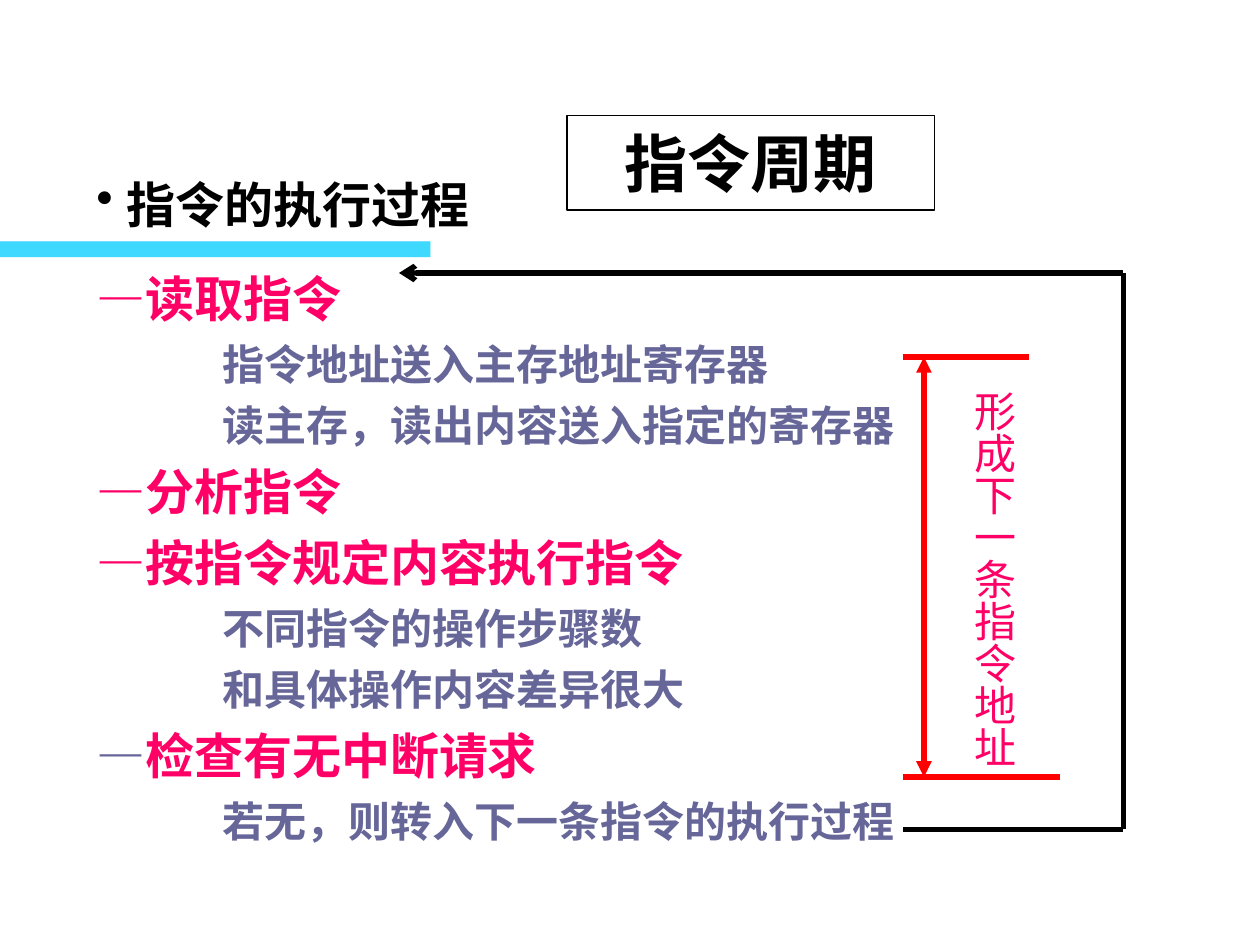
from lxml import etree
from pptx import Presentation
from pptx.dml.color import RGBColor
from pptx.enum.shapes import MSO_CONNECTOR, MSO_SHAPE
from pptx.enum.text import MSO_ANCHOR, MSO_AUTO_SIZE, PP_ALIGN
from pptx.oxml.ns import qn
from pptx.util import Inches, Pt

STRAIGHT = MSO_CONNECTOR.STRAIGHT
RECT = MSO_SHAPE.RECTANGLE
MIDDLE = MSO_ANCHOR.MIDDLE
NO_FIT = MSO_AUTO_SIZE.NONE
CENTER = PP_ALIGN.CENTER

BLACK, WHITE, RED = "000000", "FFFFFF", "FF0000"
PINK, SLATE, CYAN = "FF0066", "666699", "00CCFF"
SERIF, SANS = "Times New Roman", "Lato"

STEPS = [
    (0, "读取指令", PINK),
    (1, "指令地址送入主存地址寄存器", SLATE),
    (1, "读主存，读出内容送入指定的寄存器", SLATE),
    (0, "分析指令", PINK),
    (0, "按指令规定内容执行指令", PINK),
    (1, "不同指令的操作步骤数", SLATE),
    (1, "和具体操作内容差异很大", SLATE),
    (0, "检查有无中断请求", SLATE),
    (1, "若无，则转入下一条指令的执行过程", SLATE),
]


def color(value):
    """Turn a hex string into a colour."""
    return RGBColor.from_string(value)


def add_run(p, text, size=28, hue=BLACK, bold=True, font=SERIF):
    """Add a formatted run to a paragraph."""
    r = p.add_run()
    r.text = text
    r.font.size, r.font.bold, r.font.name = Pt(size), bold, font
    r.font.color.rgb = color(hue)


def set_bullet(p, margin=0, indent=0, char=None):
    """Set a paragraph's indents in inches and its bullet."""
    pPr = p._p.get_or_add_pPr()
    pPr.set("marL", str(Inches(margin)))
    pPr.set("indent", str(Inches(indent)))
    if char:
        etree.SubElement(pPr, qn("a:buChar")).set("char", char)
    else:
        etree.SubElement(pPr, qn("a:buNone"))


class Deck:
    """Slide builder on a grid of 120 columns by 90 rows."""

    def __init__(self, prs):
        """Start a slide with a title and a body."""
        self.cell = prs.slide_width / 120
        self.s = prs.slides.add_slide(prs.slide_layouts[1])

    def grid(self, *cells):
        """Convert grid counts to lengths."""
        return [round(c * self.cell) for c in cells]

    def place(self, sp, *box):
        """Move a placeholder and return its text frame."""
        sp.left, sp.top, sp.width, sp.height = self.grid(*box)
        sp.text_frame.auto_size = NO_FIT
        return sp.text_frame

    def title(self, text, *box):
        """Fill the framed title."""
        sp = self.s.shapes.title
        tf = self.place(sp, *box)
        sp.fill.solid()
        sp.fill.fore_color.rgb = color(WHITE)
        sp.line.color.rgb = color(BLACK)
        sp.line.width = Pt(0.75)
        tf.vertical_anchor = MIDDLE
        p = tf.paragraphs[0]
        p.alignment = CENTER
        add_run(p, text, 36)

    def steps(self, items, *box):
        """Fill the body with dashed steps and their details."""
        tf = self.place(self.s.placeholders[1], *box)
        for i, (level, text, dash_hue) in enumerate(items):
            p = tf.add_paragraph() if i else tf.paragraphs[0]
            p.level = level
            p.space_before = Pt((7, 6)[level] if i else 0)
            if level:
                set_bullet(p, 1.25, -0.25)
                add_run(p, text, 24, SLATE)
            else:
                set_bullet(p, 0.38, -0.38)
                add_run(p, "—", hue=dash_hue)
                add_run(p, text, hue=PINK)

    def text_box(self, *box):
        """Add a wrapping text box and return its text frame."""
        tf = self.s.shapes.add_textbox(*self.grid(*box)).text_frame
        tf.word_wrap = True
        return tf

    def heading(self, text, *box):
        """Add a bulleted heading."""
        p = self.text_box(*box).paragraphs[0]
        set_bullet(p, 0.24, -0.24, "•")
        add_run(p, text, font=SANS)

    def vertical_label(self, text, *box):
        """Add a label that reads from top to bottom."""
        tf = self.text_box(*box)
        tf.word_wrap = False
        tf.vertical_anchor = MIDDLE
        tf.margin_left = tf.margin_right = Inches(0.05)
        tf.margin_top = tf.margin_bottom = Inches(0.1)
        tf._txBody.bodyPr.set("vert", "eaVert")
        p = tf.paragraphs[0]
        p.alignment = CENTER
        add_run(p, text, 24, PINK, bold=False)

    def band(self, hue, alpha, *box):
        """Add a translucent band."""
        sp = self.s.shapes.add_shape(RECT, *self.grid(*box))
        sp.shadow.inherit = False
        sp.fill.solid()
        sp.fill.fore_color.rgb = color(hue)
        sp.line.fill.background()
        srgb = sp._element.spPr.find(".//" + qn("a:srgbClr"))
        etree.SubElement(srgb, qn("a:alpha")).set("val", str(alpha * 1000))

    def line(self, *ends, hue=BLACK, head=None, tail=None):
        """Add a thick line with optional arrowheads."""
        c = self.s.shapes.add_connector(STRAIGHT, *self.grid(*ends))
        c.line.color.rgb = color(hue)
        c.line.width = Pt(3)
        ln = c.line._get_or_add_ln()
        for tag, kind in (("a:headEnd", head), ("a:tailEnd", tail)):
            if kind:
                etree.SubElement(ln, qn(tag)).set("type", kind)
        etree.SubElement(c._element.spPr, qn("a:effectLst"))


def main():
    """Build the instruction cycle slide."""
    prs = Presentation()
    prs.slide_width, prs.slide_height = Inches(10), Inches(7.5)
    d = Deck(prs)
    for _ in range(2):
        d.band(CYAN, 50, 0, 23, 41, 1.5)
    d.title("指令周期", 54, 11, 35, 9)
    d.steps(STEPS, 8, 25, 102, 62)
    d.vertical_label("形成下一条指令地址", 91.1, 36, 7.2, 37.2)
    d.line(86, 79, 107, 79)
    d.line(107, 79, 107, 26)
    d.line(107, 26, 38, 26, tail="arrow")
    d.line(86, 34, 98, 34, hue=RED)
    d.line(86, 74, 101, 74, hue=RED)
    d.line(88, 34, 88, 74, hue=RED, head="triangle", tail="triangle")
    d.heading("指令的执行过程", 8, 16, 63, 6.8)
    prs.save("out.pptx")


if __name__ == "__main__":
    main()
